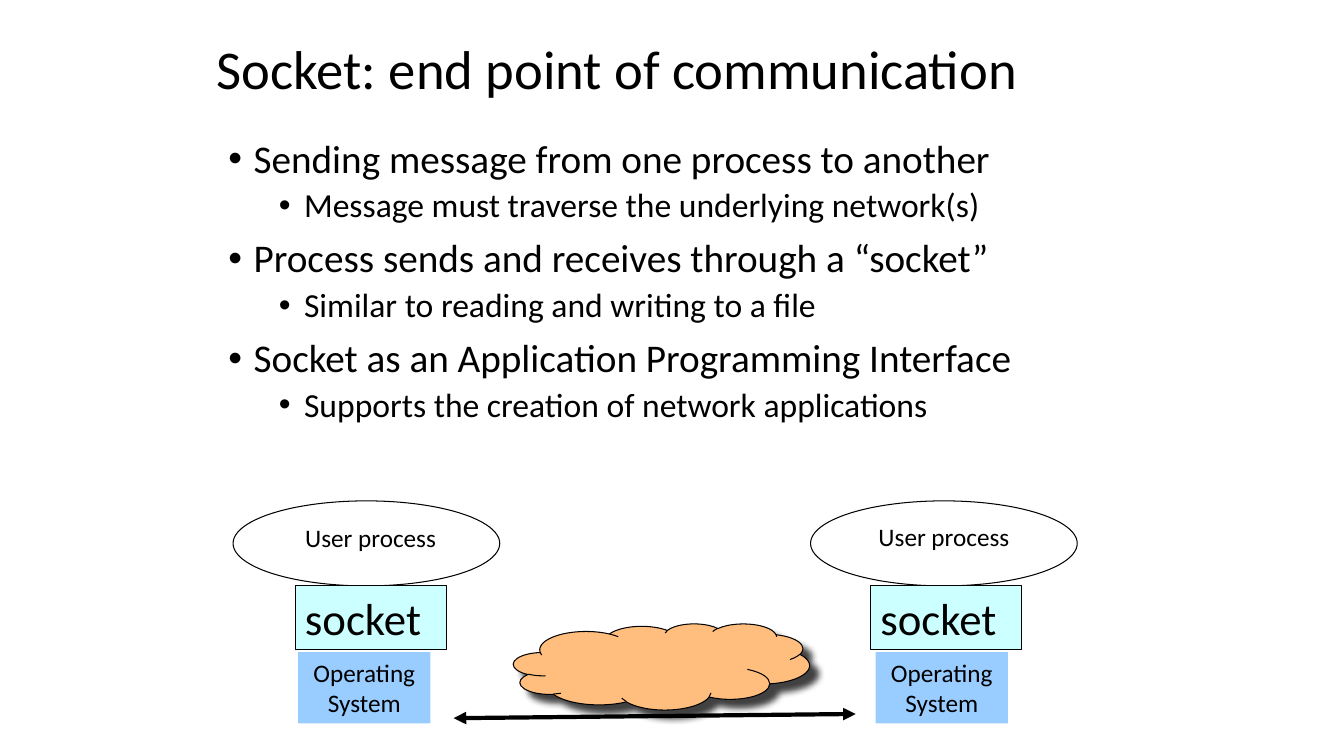
from dataclasses import dataclass

from lxml.etree import SubElement
from pptx import Presentation
from pptx.dml.color import RGBColor
from pptx.enum.shapes import MSO_CONNECTOR, MSO_SHAPE
from pptx.enum.text import MSO_ANCHOR, MSO_AUTO_SIZE, PP_ALIGN
from pptx.oxml.ns import qn
from pptx.util import Emu, Pt

TITLE = "Socket: end point of communication"
BULLETS = [
    (0, "Sending message from one process to another"),
    (1, "Message must traverse the underlying network(s)"),
    (0, "Process sends and receives through a “socket”"),
    (1, "Similar to reading and writing to a file"),
    (0, "Socket as an Application Programming Interface"),
    (1, "Supports the creation of network applications"),
]
PROCESS_LABEL = ["User process"]
SOCKET_LABEL = ["socket"]
SYSTEM_LABEL = ["Operating", "System"]

# Boxes are left, top, width, height in px
SLIDE_SIZE = (1280, 720)
TITLE_BOX = (197, 8, 866, 120)
BODY_BOX = (208, 128, 888, 324)
CLOUD_BOX = (489, 594, 282, 82)
ARROW_ENDS = (432, 684, 815, 680)
HOSTS = [
    {"process": (222, 477), "label": (272, 493), "socket": (281, 558), "system": (284, 621)},
    {"process": (772, 477), "label": (818, 492), "socket": (829, 558), "system": (834, 621)},
]
PROCESS_SIZE = (254, 81)
LABEL_SIZE = (162, 38)
SOCKET_SIZE = (144, 61)
SYSTEM_SIZE = (126, 68)
BULLET_INDENT = 24
LEVEL_STEP = 48


@dataclass(frozen=True)
class Theme:
    font: str = "Calibri"
    ink: RGBColor = RGBColor(0, 0, 0)
    socket: RGBColor = RGBColor(0xCC, 0xFF, 0xFF)
    system: RGBColor = RGBColor(0x99, 0xCC, 0xFF)
    cloud: RGBColor = RGBColor(0xFF, 0xBE, 0x7D)
    title_size: int = 39
    level_sizes: tuple = (28, 24)
    level_gaps: tuple = (10, 5)
    socket_size: int = 32
    label_size: int = 18
    outline: float = 0.75
    arrow: int = 3


THEME = Theme()


def px(length):
    return Emu(length * 9525)


def place(shape, box):
    shape.left, shape.top, shape.width, shape.height = map(px, box)


def style(para, size, align=PP_ALIGN.LEFT):
    para.alignment = align
    para.font.name = THEME.font
    para.font.size = Pt(size)
    para.font.color.rgb = THEME.ink


def write(shape, lines, size, align=PP_ALIGN.CENTER):
    frame = shape.text_frame
    frame.word_wrap = True
    frame.vertical_anchor = MSO_ANCHOR.TOP
    frame.text = "\n".join(lines)
    for para in frame.paragraphs:
        style(para, size, align)


def add_box(slide, kind, box, fill=None, outlined=True):
    shape = slide.shapes.add_shape(kind, *map(px, box))
    shape.shadow.inherit = False
    if fill is None:
        shape.fill.background()
    else:
        shape.fill.solid()
        shape.fill.fore_color.rgb = fill
    if outlined:
        shape.line.color.rgb = THEME.ink
        shape.line.width = Pt(THEME.outline)
    else:
        shape.line.fill.background()
    return shape


def add_title(slide):
    title = slide.shapes.title
    place(title, TITLE_BOX)
    title.text_frame.text = TITLE
    title.text_frame.vertical_anchor = MSO_ANCHOR.MIDDLE
    title.text_frame.auto_size = MSO_AUTO_SIZE.NONE
    para = title.text_frame.paragraphs[0]
    para.line_spacing = 0.9
    style(para, THEME.title_size)


def add_bullets(slide):
    body = slide.placeholders[1]
    place(body, BODY_BOX)
    frame = body.text_frame
    frame.auto_size = MSO_AUTO_SIZE.NONE
    frame.text = "\n".join(text for level, text in BULLETS)
    for para, (level, text) in zip(frame.paragraphs, BULLETS):
        para.level = level
        para.line_spacing = 0.9
        para.space_before = Pt(THEME.level_gaps[level])
        style(para, THEME.level_sizes[level])
        properties = para._p.get_or_add_pPr()
        properties.set("marL", str(px(BULLET_INDENT + level * LEVEL_STEP)))
        properties.set("indent", str(px(-BULLET_INDENT)))
        SubElement(properties, qn("a:buFont"), typeface="Arial")
        SubElement(properties, qn("a:buChar"), char="•")


def add_host(slide, spots):
    add_box(slide, MSO_SHAPE.OVAL, spots["process"] + PROCESS_SIZE)
    socket = add_box(slide, MSO_SHAPE.RECTANGLE, spots["socket"] + SOCKET_SIZE, THEME.socket)
    write(socket, SOCKET_LABEL, THEME.socket_size, PP_ALIGN.LEFT)
    label = slide.shapes.add_textbox(*map(px, spots["label"] + LABEL_SIZE))
    write(label, PROCESS_LABEL, THEME.label_size)
    system = add_box(slide, MSO_SHAPE.RECTANGLE, spots["system"] + SYSTEM_SIZE,
                     THEME.system, outlined=False)
    write(system, SYSTEM_LABEL, THEME.label_size)


def add_network(slide):
    cloud = add_box(slide, MSO_SHAPE.CLOUD, CLOUD_BOX, THEME.cloud)
    effects = cloud._element.spPr.find(qn("a:effectLst"))
    shadow = SubElement(effects, qn("a:outerShdw"), blurRad=str(Pt(5)), dist=str(Pt(8.5)),
                        dir=str(45 * 60000), algn="ctr", rotWithShape="0")
    color = SubElement(shadow, qn("a:srgbClr"), val=str(THEME.ink))
    SubElement(color, qn("a:alpha"), val="75000")

    arrow = slide.shapes.add_connector(MSO_CONNECTOR.STRAIGHT, *map(px, ARROW_ENDS))
    arrow.line.color.rgb = THEME.ink
    arrow.line.width = Pt(THEME.arrow)
    outline = arrow.line._get_or_add_ln()
    for end in ("a:headEnd", "a:tailEnd"):
        SubElement(outline, qn(end), type="triangle")
    SubElement(arrow._element.spPr, qn("a:effectLst"))


def main():
    deck = Presentation()
    deck.slide_width, deck.slide_height = map(px, SLIDE_SIZE)
    slide = deck.slides.add_slide(deck.slide_layouts[1])
    add_title(slide)
    add_bullets(slide)
    for spots in HOSTS:
        add_host(slide, spots)
    add_network(slide)
    deck.save("out.pptx")


if __name__ == "__main__":
    main()
